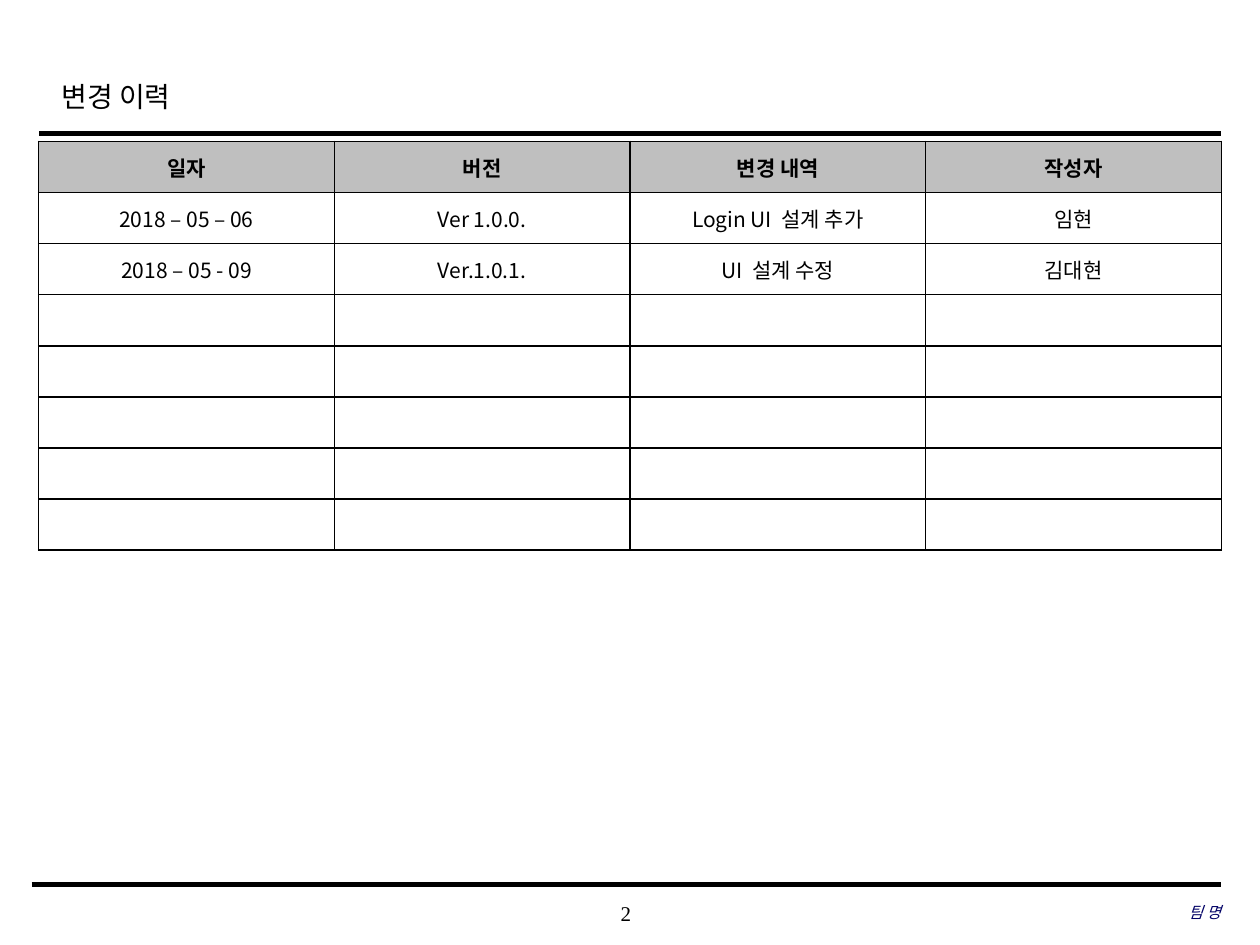
from lxml.etree import SubElement
from pptx import Presentation
from pptx.dml.color import RGBColor
from pptx.enum.text import MSO_ANCHOR, PP_ALIGN
from pptx.oxml.ns import qn
from pptx.util import Cm, Pt

COLORS = {"ink": "000000", "header": "BFBFBF", "paper": "FFFFFF", "team": "000066"}
SERIF, SANS = "Times New Roman", "Noto Sans CJK KR"


def write(frame, text, size=12, font=SERIF, color="ink", bold=False, italic=False,
          align=PP_ALIGN.CENTER, inset=None, spacing=None):
    """Put one formatted line of text into a text frame."""
    frame.word_wrap = True
    frame.vertical_anchor = MSO_ANCHOR.MIDDLE
    if inset is not None:
        frame.margin_left = frame.margin_right = inset
        frame.margin_top = frame.margin_bottom = inset
    paragraph = frame.paragraphs[0]
    paragraph.alignment = align
    if spacing:
        paragraph.line_spacing = spacing
    run = paragraph.add_run()
    run.text = text
    run.font.size = Pt(size)
    run.font.name = font
    run.font.bold, run.font.italic = bold, italic
    run.font.color.rgb = RGBColor.from_string(COLORS[color])
    SubElement(run.font._element, qn("a:ea"), typeface=SANS)


def add_border(cell, sides=("lnL", "lnR", "lnT", "lnB")):
    """Draw a thin line on each side of a table cell."""
    properties = cell._tc.get_or_add_tcPr()
    for position, side in enumerate(sides):
        line = properties.makeelement(qn(f"a:{side}"), {"w": str(Pt(1))})
        fill = SubElement(line, qn("a:solidFill"))
        SubElement(fill, qn("a:srgbClr"), val=COLORS["ink"])
        properties.insert(position, line)


deck = Presentation()
deck.slide_width, deck.slide_height = Cm(25.4), Cm(19.05)
slide = deck.slides.add_slide(deck.slide_layouts[5])

# Title
title = slide.shapes.title
title.left, title.top, title.width, title.height = Cm(0.99), Cm(1.24), Cm(19.18), Cm(1.27)
write(title.text_frame, "변경 이력", size=16, align=PP_ALIGN.LEFT, spacing=1.2)

# Rules under the title and above the footer
right_edge = Cm(24.61)
for left, top, weight in [(0.79, 2.69, 2.5), (0.64, 17.83, 3)]:
    rule = slide.shapes.add_connector(1, Cm(left), Cm(top), right_edge, Cm(top))
    rule.line.color.rgb = RGBColor.from_string(COLORS["ink"])
    rule.line.width = Pt(weight)
    SubElement(rule._element.spPr, qn("a:effectLst"))

# Change history
history = [
    ("일자", "버전", "변경 내역", "작성자"),
    ("2018 – 05 – 06", "Ver 1.0.0.", "Login UI  설계 추가", "임현"),
    ("2018 – 05 - 09", "Ver.1.0.1.", "UI  설계 수정", "김대현"),
]
row_count, column_count = 8, 4
table = slide.shapes.add_table(row_count, column_count, Cm(0.78), Cm(2.85),
                               Cm(23.84), Cm(8.24)).table
for row_index, row in enumerate(table.rows):
    row.height = Cm(1.03)
    is_header = row_index == 0
    for column_index, cell in enumerate(row.cells):
        cell.margin_top = cell.margin_bottom = 0
        cell.vertical_anchor = MSO_ANCHOR.MIDDLE
        cell.fill.solid()
        cell.fill.fore_color.rgb = RGBColor.from_string(
            COLORS["header" if is_header else "paper"])
        add_border(cell)
        if row_index < len(history):
            write(cell.text_frame, history[row_index][column_index],
                  font=SANS, bold=is_header)

# Footer
page_number = slide.shapes.add_textbox(Cm(9.98), Cm(17.98), Cm(5.28), Cm(0.84))
write(page_number.text_frame, "2", inset=0)
team_name = slide.shapes.add_textbox(Cm(16.84), Cm(17.96), Cm(7.77), Cm(0.84))
write(team_name.text_frame, "팀 명", size=9, color="team", italic=True,
      align=PP_ALIGN.RIGHT, inset=0)

deck.save("out.pptx")
